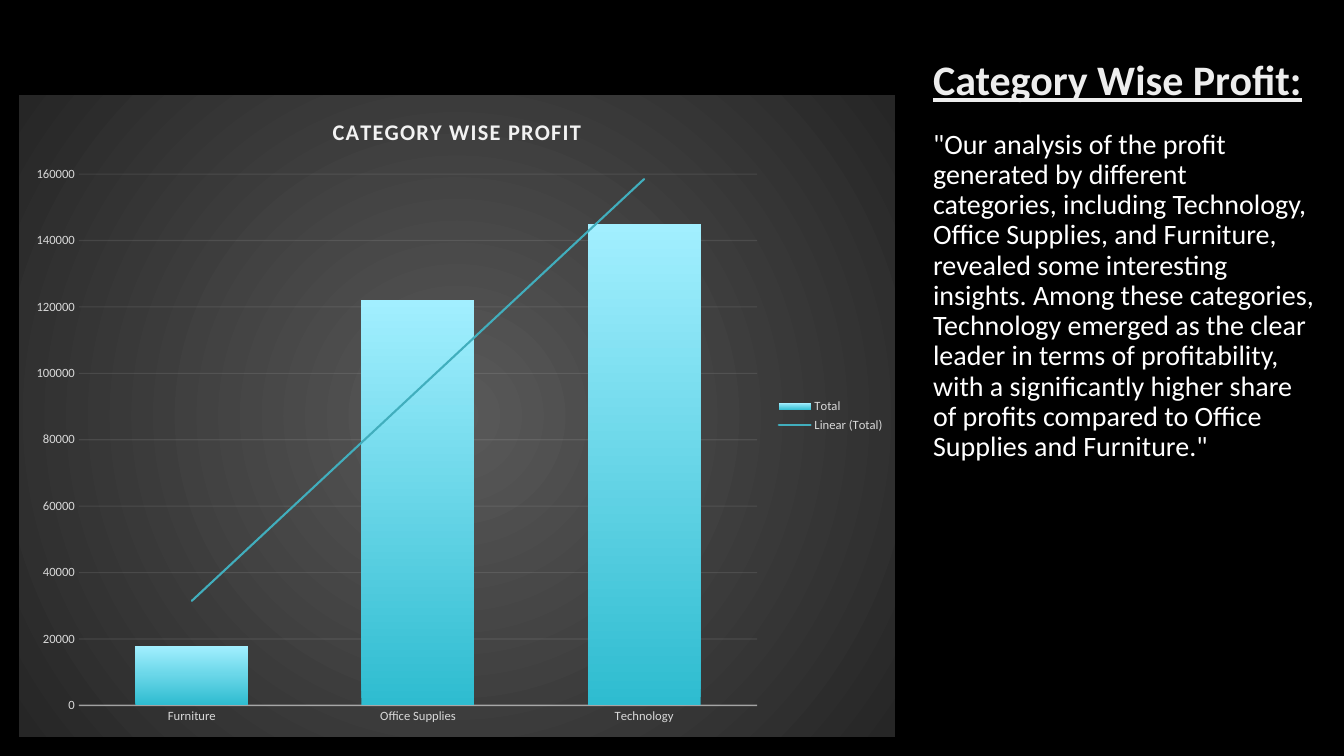
import pptx
import pptx.util
import pptx.dml.color
import pptx.chart.data
import pptx.enum.chart
import pptx.enum.text
import pptx.oxml
import pptx.oxml.ns

FONT = "Calibri"
NAMESPACES = pptx.oxml.ns.nsdecls("a", "c")
PIXEL = 914400 / 100.8


def pixels(count):
    return pptx.util.Emu(round(count * PIXEL))


def color(value):
    return pptx.dml.color.RGBColor.from_string(value)


def gradient(stops, direction):
    marks = "".join(
        f'<a:gs pos="{position * 1000}"><a:srgbClr val="{value}"/></a:gs>'
        for position, value in stops)
    return pptx.oxml.parse_xml(
        f'<a:gradFill {NAMESPACES}><a:gsLst>{marks}</a:gsLst>{direction}</a:gradFill>')


def linear(degrees):
    return f'<a:lin ang="{degrees * 60000}" scaled="0"/>'


def replace_fill(fill, properties, new_fill):
    fill.solid()
    old_fill = properties.find(pptx.oxml.ns.qn("a:solidFill"))
    properties.replace(old_fill, new_fill)


def style_font(font, size, value, bold=False):
    font.name = FONT
    font.size = pptx.util.Pt(size)
    font.bold = bold
    font.color.rgb = color(value)


def style_line(line, value, width, opacity):
    line.color.rgb = color(value)
    line.width = pptx.util.Pt(width)
    fill_color = line.fill._xPr.find(".//" + pptx.oxml.ns.qn("a:srgbClr"))
    fill_color.append(pptx.oxml.parse_xml(
        f'<a:alpha {NAMESPACES} val="{opacity * 1000}"/>'))


def fill_placeholder(shape, box, text, size, space_before):
    shape.left, shape.top, shape.width, shape.height = map(pixels, box)
    frame = shape.text_frame
    frame.text = text
    frame.word_wrap = True
    frame.auto_size = pptx.enum.text.MSO_AUTO_SIZE.NONE
    frame.vertical_anchor = pptx.enum.text.MSO_ANCHOR.TOP
    paragraph = frame.paragraphs[0]
    paragraph.alignment = pptx.enum.text.PP_ALIGN.LEFT
    paragraph.line_spacing = 0.9
    paragraph.space_before = pptx.util.Pt(space_before)
    style_font(paragraph.font, size, "FFFFFF")
    return paragraph


def add_commentary(slide, left, top):
    title = fill_placeholder(slide.shapes.title, (left, top, 440, 71),
                             "Category Wise Profit:", 30, 0)
    title.font.bold = True
    title.font.underline = True
    replace_fill(title.font.fill, title.font._rPr, gradient(
        [(0, "BFBFBF"), (28, "EDEDED"), (100, "FFFFFF")], linear(80)))

    body = fill_placeholder(
        slide.placeholders[1], (left, top + 71, 402, 409),
        '"Our analysis of the profit generated by different categories, '
        'including Technology, Office Supplies, and Furniture, revealed some '
        'interesting insights. Among these categories, Technology emerged as '
        'the clear leader in terms of profitability, with a significantly '
        'higher share of profits compared to Office Supplies and Furniture."',
        20, 10)
    properties = body._p.get_or_add_pPr()
    properties.set("marL", "0")
    properties.set("indent", "0")
    bullet = pptx.oxml.parse_xml(f"<a:buNone {NAMESPACES}/>")
    properties.find(pptx.oxml.ns.qn("a:defRPr")).addprevious(bullet)


def style_axes(chart):
    tick_mark = pptx.enum.chart.XL_TICK_MARK.NONE
    for axis in (chart.category_axis, chart.value_axis):
        axis.major_tick_mark = tick_mark
        axis.minor_tick_mark = tick_mark
        style_font(axis.tick_labels.font, 9, "D9D9D9")
    style_line(chart.category_axis.format.line, "F2F2F2", 1, 54)
    value_axis = chart.value_axis
    value_axis.format.line.fill.background()
    value_axis.minimum_scale = 0
    value_axis.maximum_scale = 160000
    value_axis.major_unit = 20000
    style_line(value_axis.major_gridlines.format.line, "F2F2F2", 0.75, 10)


def add_trend_line(series):
    trend_line = pptx.oxml.parse_xml(
        f'<c:trendline {NAMESPACES}><c:name>Linear (Total)</c:name>'
        '<c:spPr><a:ln w="19050" cap="rnd"><a:solidFill><a:srgbClr val="41AEBD"/>'
        '</a:solidFill></a:ln></c:spPr><c:trendlineType val="linear"/>'
        '<c:dispRSqr val="0"/><c:dispEq val="0"/></c:trendline>')
    series._element.find(pptx.oxml.ns.qn("c:cat")).addprevious(trend_line)


def add_profit_chart(slide, left, top, width, height):
    data = pptx.chart.data.CategoryChartData()
    data.categories = ["Furniture", "Office Supplies", "Technology"]
    data.add_series("Total", [18000, 122000, 145000])
    chart = slide.shapes.add_chart(
        pptx.enum.chart.XL_CHART_TYPE.COLUMN_CLUSTERED,
        *map(pixels, (left, top, width, height)), data).chart
    style_font(chart.font, 10, "FFFFFF")

    chart.has_title = True
    chart.chart_title.include_in_layout = False
    heading = chart.chart_title.text_frame
    heading.text = "CATEGORY WISE PROFIT"
    heading_font = heading.paragraphs[0].font
    style_font(heading_font, 16, "F2F2F2", bold=True)
    heading_font._rPr.set("spc", "100")

    chart.has_legend = True
    chart.legend.position = pptx.enum.chart.XL_LEGEND_POSITION.RIGHT
    chart.legend.include_in_layout = False
    style_font(chart.legend.font, 9, "D9D9D9")

    style_axes(chart)
    plot = chart.plots[0]
    plot.gap_width = 100
    plot.overlap = -24
    plot.vary_by_categories = False
    series = plot.series[0]
    replace_fill(series.format.fill, series._element.spPr, gradient(
        [(0, "2EBCD0"), (100, "A2EFFF")], linear(270)))
    add_trend_line(series)

    backdrop = pptx.oxml.parse_xml(f"<c:spPr {NAMESPACES}><a:ln><a:noFill/></a:ln></c:spPr>")
    backdrop.insert(0, gradient(
        [(0, "595959"), (100, "262626")],
        '<a:path path="circle"><a:fillToRect l="50000" t="50000" r="50000" b="50000"/></a:path>'))
    chart._chartSpace.chart.addnext(backdrop)


presentation = pptx.Presentation()
presentation.slide_width = pixels(1344)
presentation.slide_height = pixels(756)
slide = presentation.slides.add_slide(presentation.slide_layouts[1])
slide.background.fill.solid()
slide.background.fill.fore_color.rgb = color("000000")
add_commentary(slide, 923, 54)
add_profit_chart(slide, 19, 95, 876, 642)
presentation.save("out.pptx")
